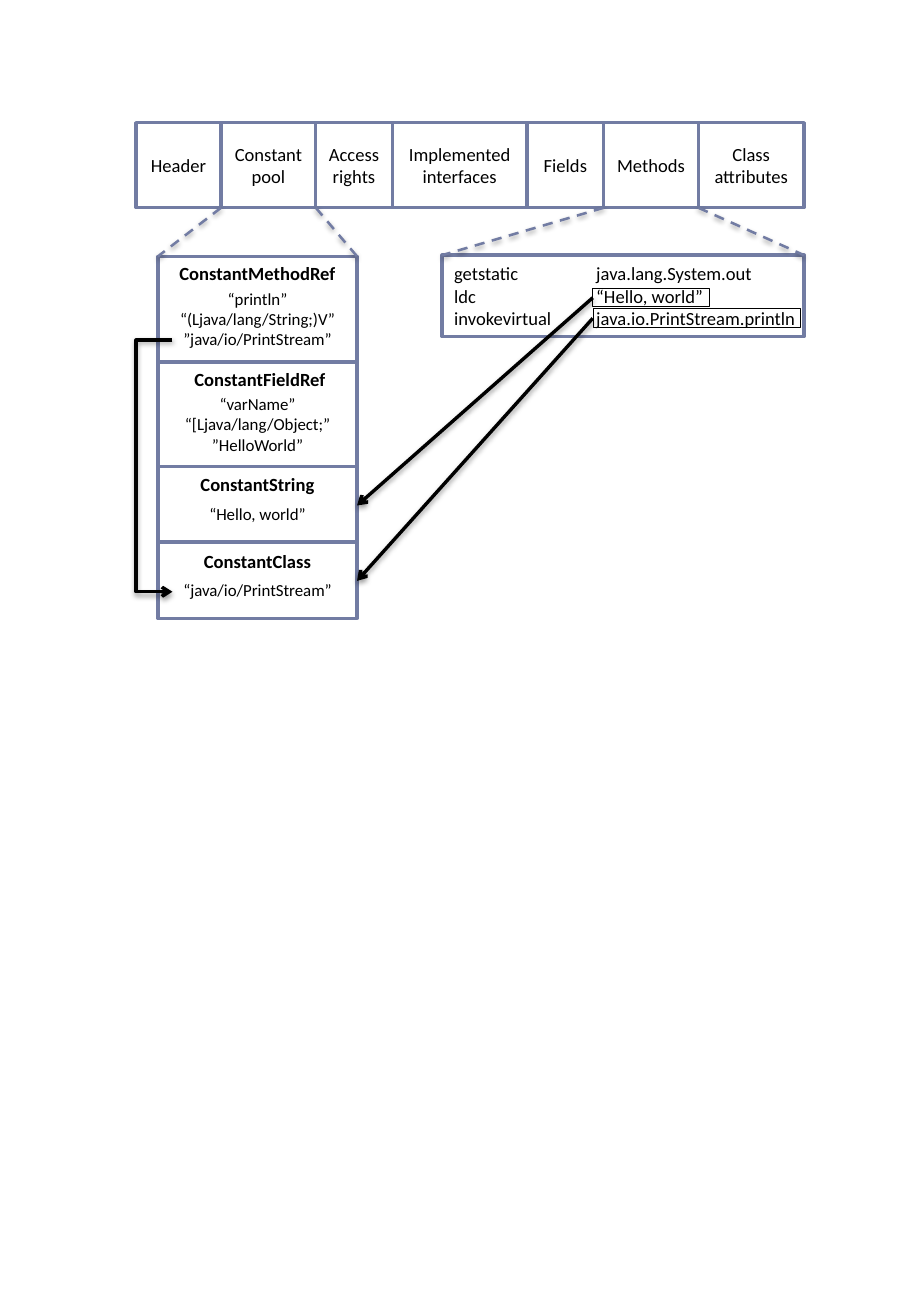
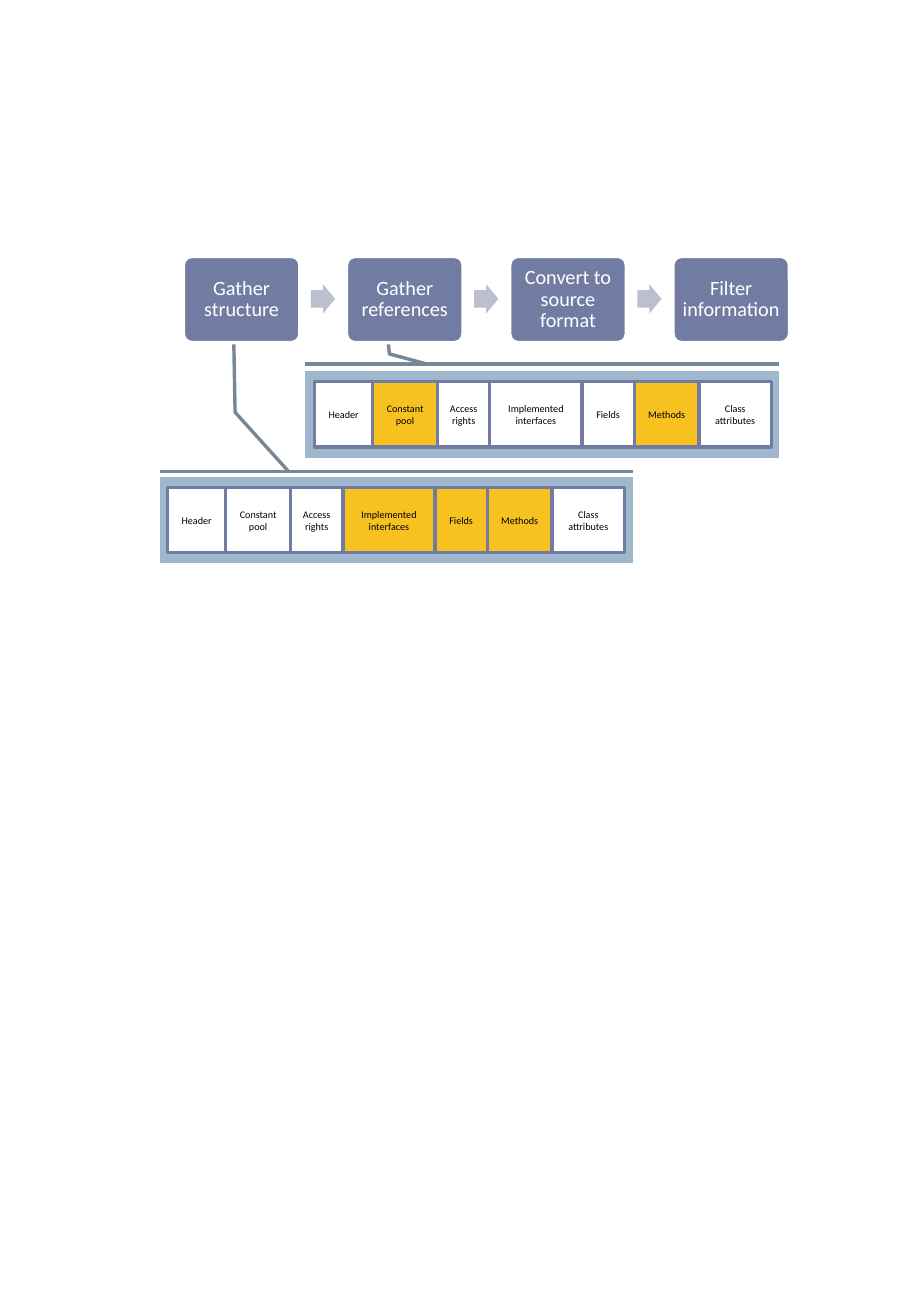
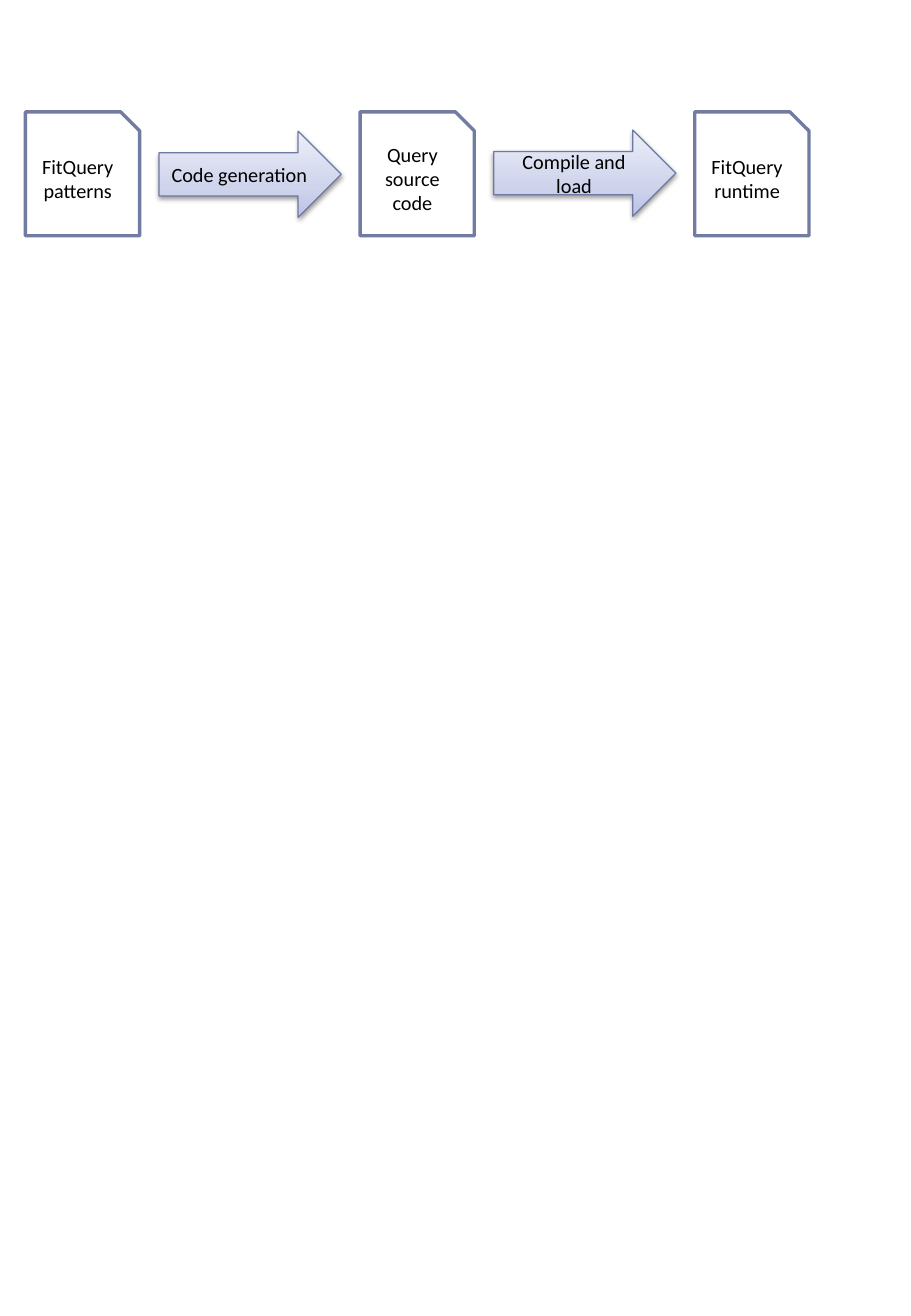
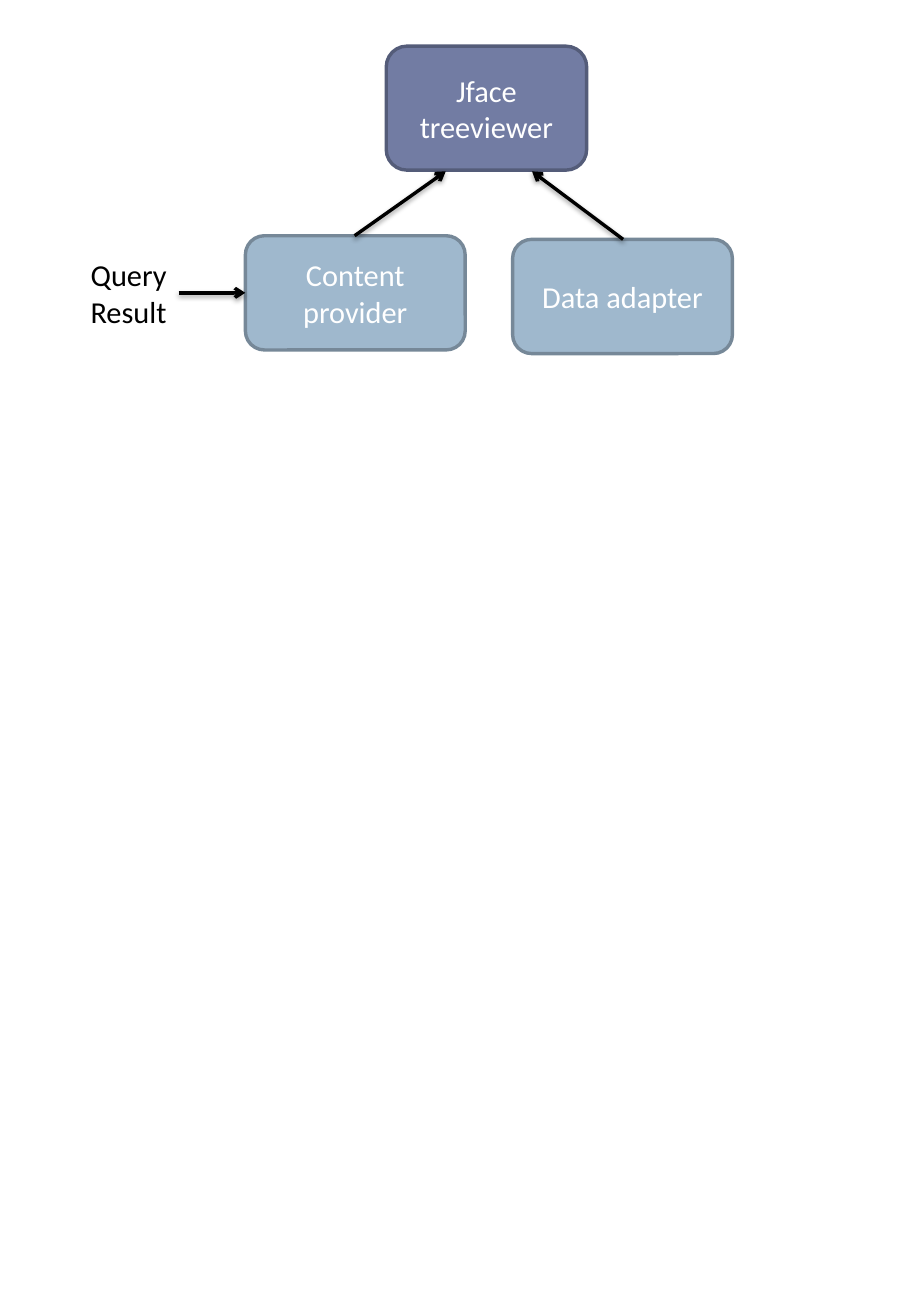
from itertools import accumulate

from lxml import etree
from pptx import Presentation
from pptx import util as u
from pptx.dml.color import RGBColor
from pptx.enum import dml, shapes, text
from pptx.oxml import parse_xml
from pptx.oxml.ns import nsdecls, qn

INDIGO, INDIGO_EDGE, PALE_INDIGO = "727CA3", "545C79", "BCBFCE"
STEEL, STEEL_EDGE = "9FB8CD", "768898"
AMBER, BLACK, WHITE = "F7C120", "000000", "FFFFFF"
FONT = "Calibri"
STROKE = 2
KIND = shapes.MSO_SHAPE
ALIGN = text.PP_ALIGN


def paint(fill, color):
    """Make a fill, line fill or font fill solid in a hex colour, or empty."""
    if color is None:
        fill.background()
    else:
        fill.solid()
        fill.fore_color.rgb = RGBColor.from_string(color)


def draw(slide, kind, at, lines=(), fill=None, line=None, width=STROKE, size=11,
         color=BLACK, bold=False, align=ALIGN.CENTER, insets=(0.1, 0.05, 0.1, 0.05),
         spacing=None, adjust=()):
    """Add a shape, or a text box if kind is None, with one paragraph per line."""
    place = [u.Inches(length) for length in at]
    if kind is None:
        shape = slide.shapes.add_textbox(*place)
    else:
        shape = slide.shapes.add_shape(kind, *place)
        shape.shadow.inherit = False
        paint(shape.fill, fill)
        paint(shape.line.fill, line)
        if line:
            shape.line.width = u.Pt(width)
        for index, value in enumerate(adjust):
            shape.adjustments[index] = value
    frame = shape.text_frame
    frame.word_wrap = True
    frame.vertical_anchor = text.MSO_ANCHOR.MIDDLE if kind else text.MSO_ANCHOR.TOP
    (frame.margin_left, frame.margin_top,
     frame.margin_right, frame.margin_bottom) = map(u.Inches, insets)
    for index, words in enumerate(lines):
        paragraph = frame.add_paragraph() if index else frame.paragraphs[0]
        paragraph.alignment = align
        if spacing:
            paragraph.line_spacing = spacing
        run = paragraph.add_run()
        run.text = words
        run.font.name, run.font.size, run.font.bold = FONT, u.Pt(size), bold
        paint(run.font.fill, color)
    return shape


presentation = Presentation()
presentation.slide_width, presentation.slide_height = u.Inches(7.5), u.Inches(10.83)
class_file, process, generation, viewer = [
    presentation.slides.add_slide(presentation.slide_layouts[6]) for _ in range(4)]
shadowed, arrows = [], []

# Callouts behind the two small class-file strips
for at, adjust in [
        ((2.91, 2.33, 0.71, 3.9), (0.728, -0.064, 0.841, -0.75, 0.844, -1.648)),
        ((4.11, 1.46, 0.71, 3.9), (0.743, -0.083, 0.823, -0.201, 0.826, -0.384))]:
    callout = draw(process, KIND.LINE_CALLOUT_2_ACCENT_BAR, at,
                   fill=STEEL, line=STEEL_EDGE, adjust=adjust)
    callout.rotation = 90

# Class-file strips: seven parts measured in columns of a shared grid
PARTS = {"Header": 70, "Constant pool": 78, "Access rights": 63,
         "Implemented interfaces": 111, "Fields": 63, "Methods": 78,
         "Class attributes": 87}
COLUMNS = sum(PARTS.values())
starts = [0, *accumulate(PARTS.values())]
STRIP_LEFT, STRIP_TOP, STRIP_WIDTH, STRIP_HEIGHT = 1.12, 1.01, 5.5, 0.7
for slide, left, top, width, height, size, marked in [
        (class_file, STRIP_LEFT, STRIP_TOP, STRIP_WIDTH, STRIP_HEIGHT, 11, ()),
        (process, 1.38, 4.01, 3.76, 0.54, 6,
         ("Implemented interfaces", "Fields", "Methods")),
        (process, 2.59, 3.14, 3.76, 0.54, 6, ("Constant pool", "Methods"))]:
    column = width / COLUMNS
    for start, (part, span) in zip(starts, PARTS.items()):
        draw(slide, KIND.RECTANGLE, (left + start * column, top, span * column, height),
             [part], fill=AMBER if part in marked else WHITE, line=INDIGO, size=size)

# Slide 1: constant pool
POOL_LEFT, POOL_TOP, POOL_WIDTH = 1.3, 2.11, 1.64
pool_right = POOL_LEFT + POOL_WIDTH
top = POOL_TOP
for title, height, shift_right, shift_down, values in [
        ("ConstantMethodRef", 0.87, 0, 0,
         ["“println”", "“(Ljava/lang/String;)V”", "”java/io/PrintStream”"]),
        ("ConstantFieldRef", 0.86, 0.02, 0,
         ["“varName”", "“[Ljava/lang/Object;”", "”HelloWorld”"]),
        ("ConstantString", 0.62, 0, 0, ["“Hello, world”"]),
        ("ConstantClass", 0.63, 0, 0.02, ["“java/io/PrintStream”"])]:
    draw(class_file, KIND.RECTANGLE, (POOL_LEFT, top, POOL_WIDTH, height), values,
         fill=WHITE, line=INDIGO, size=10, insets=(0.1, 0.21, 0.1, 0.05))
    draw(class_file, None,
         (POOL_LEFT + shift_right, top + shift_down, POOL_WIDTH, 0.29), [title], bold=True)
    top += height

# Slide 1: method code
CODE_LEFT, CODE_TOP, CODE_WIDTH = 3.64, 2.1, 2.98
code_right = CODE_LEFT + CODE_WIDTH
draw(class_file, KIND.RECTANGLE, (CODE_LEFT, CODE_TOP, CODE_WIDTH, 0.67),
     fill=WHITE, line=INDIGO)
code = draw(class_file, None, (CODE_LEFT, CODE_TOP + 0.01, CODE_WIDTH, 0.66),
            ["getstatic\tjava.lang.System.out", "ldc\t“Hello, world”",
             "invokevirtual\tjava.io.PrintStream.println"],
            align=ALIGN.LEFT, insets=(0.1, 0.05, 0, 0.05))
for paragraph in code.text_frame.paragraphs:
    tabs = etree.SubElement(paragraph._p.get_or_add_pPr(), qn("a:tabLst"))
    etree.SubElement(tabs, qn("a:tab"), pos=str(u.Inches(1.17)), algn="l")

# Slide 1: bracket from the method reference to its class
bracket_points = [(u.Inches(x), u.Inches(y)) for x, y in
                  [(1.42, 2.8), (1.12, 2.8), (1.12, 4.87), (1.42, 4.87)]]
builder = class_file.shapes.build_freeform(*bracket_points[0])
builder.add_line_segments(bracket_points[1:], close=False)
bracket = builder.convert_to_shape()
bracket.shadow.inherit = False
paint(bracket.fill, None)
paint(bracket.line.fill, BLACK)
bracket.line.width = u.Pt(STROKE)
shadowed.append(bracket)
arrows.append(bracket)

# Slide 1: frames around the operands
OPERAND_LEFT = 4.88
for top, width in [(2.37, 0.96), (2.54, 1.71)]:
    draw(class_file, KIND.ROUNDED_RECTANGLE, (OPERAND_LEFT, top, width, 0.15),
         line=BLACK, width=0.25, adjust=[0])

# Slide 2: process steps
STEPS = ["Gather structure", "Gather references", "Convert to source format",
         "Filter information"]
STEP_LEFT, STEP_PITCH = 1.51, 4.03 / 3
for index, step in enumerate(STEPS):
    left = STEP_LEFT + index * STEP_PITCH
    draw(process, KIND.ROUNDED_RECTANGLE, (left, 2.11, 0.96, 0.71), [step],
         fill=INDIGO, line=WHITE, size=12, color=WHITE, spacing=0.9,
         insets=(0.05,) * 4, adjust=[0.1])
    if index < len(STEPS) - 1:
        draw(process, KIND.RIGHT_ARROW, (left + 1.05, 2.34, 0.2, 0.24),
             fill=PALE_INDIGO, adjust=[0.6, 0.5])

# Slide 3: documents and the arrows between them
DOCUMENT_PITCH = 5.51 / 2
for index, words in enumerate([["FitQuery", "patterns"], ["Query", "source", "code"],
                               ["FitQuery", "runtime"]]):
    draw(generation, KIND.SNIP_1_RECTANGLE,
         (0.21 + index * DOCUMENT_PITCH, 0.92, 0.94, 1.02), words,
         fill=WHITE, line=INDIGO, size=12)
stops = "".join(f'<a:gs pos="{share}000"><a:srgbClr val="{color}"/></a:gs>'
                for share, color in [(0, "BBC2E6"), (35, "CFD4EC"), (100, "ECEEF8")])
for index, (action, top) in enumerate([("Code generation", 1.08),
                                       ("Compile and load", 1.07)]):
    arrow = draw(generation, KIND.RIGHT_ARROW,
                 (1.31 + index * DOCUMENT_PITCH, top, 1.5, 0.71), [action],
                 line="6E79A1", width=0.75, size=12)
    arrow.fill.gradient()
    arrow.fill.gradient_angle = 90
    old_stops = arrow._element.spPr.find(".//" + qn("a:gsLst"))
    old_stops.getparent().replace(
        old_stops, parse_xml(f'<a:gsLst {nsdecls("a")}>{stops}</a:gsLst>'))
    shadowed.append(arrow)

# Slide 4: viewer and its sources
for words, at, fill, line in [
        ("Jface treeviewer", (3.18, 0.38, 1.65, 1.02), INDIGO, INDIGO_EDGE),
        ("Content provider", (2.02, 1.94, 1.81, 0.94), STEEL, STEEL_EDGE),
        ("Data adapter", (4.22, 1.97, 1.81, 0.94), STEEL, STEEL_EDGE)]:
    draw(viewer, KIND.ROUNDED_RECTANGLE, at, [words], fill=fill, line=line,
         size=18, color=WHITE)
draw(viewer, None, (0.6, 2.06, 0.87, 0.71), ["Query", "Result"], size=18,
     align=ALIGN.RIGHT)

# Dashed zoom lines and black arrows
column = STRIP_WIDTH / COLUMNS
strip_bottom = STRIP_TOP + STRIP_HEIGHT
pool_start, pool_end, methods_start, methods_end = [
    STRIP_LEFT + starts[index] * column for index in (1, 2, 5, 6)]
for slide, start, end, dashed in [
        (class_file, (pool_start, strip_bottom), (POOL_LEFT, POOL_TOP), True),
        (class_file, (pool_end, strip_bottom), (pool_right, POOL_TOP), True),
        (class_file, (methods_start, strip_bottom), (CODE_LEFT, CODE_TOP), True),
        (class_file, (methods_end, strip_bottom), (code_right, CODE_TOP), True),
        (class_file, (OPERAND_LEFT, 2.45), (pool_right, 4.16), False),
        (class_file, (OPERAND_LEFT, 2.62), (pool_right, 4.78), False),
        (viewer, (2.92, 1.94), (3.67, 1.41), False),
        (viewer, (5.13, 1.97), (4.38, 1.41), False),
        (viewer, (1.47, 2.41), (2.02, 2.41), False)]:
    connector = slide.shapes.add_connector(
        shapes.MSO_CONNECTOR.STRAIGHT, *[u.Inches(length) for length in start + end])
    paint(connector.line.fill, INDIGO if dashed else BLACK)
    connector.line.width = u.Pt(1.5 if dashed else STROKE)
    if dashed:
        connector.line.dash_style = dml.MSO_LINE.DASH
    else:
        arrows.append(connector)
    shadowed.append(connector)

for shape in arrows:
    etree.SubElement(shape.line._get_or_add_ln(), qn("a:tailEnd"), type="arrow")
for shape in shadowed:
    properties = shape._element.spPr
    effects = properties.find(qn("a:effectLst"))
    if effects is None:
        effects = etree.SubElement(properties, qn("a:effectLst"))
    effects.append(parse_xml(
        f'<a:outerShdw {nsdecls("a")} blurRad="{u.Pt(3.1)}" dist="{u.Pt(1.6)}" '
        f'dir="5400000" rotWithShape="0"><a:srgbClr val="{BLACK}">'
        '<a:alpha val="38000"/></a:srgbClr></a:outerShdw>'))

presentation.save("out.pptx")
